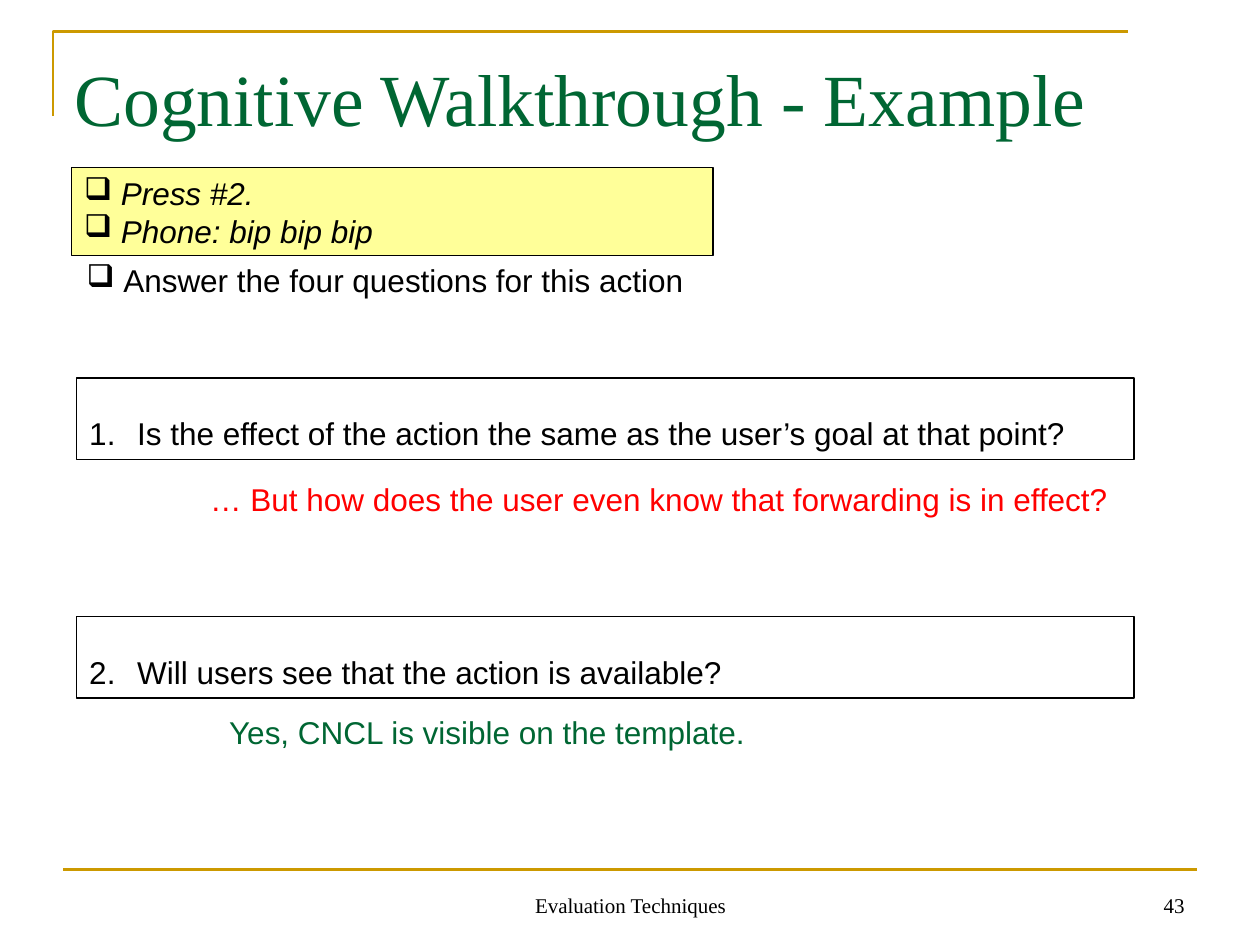
from dataclasses import dataclass

from lxml.etree import SubElement
from pptx import Presentation
from pptx.dml.color import RGBColor
from pptx.enum.shapes import MSO_CONNECTOR, MSO_SHAPE
from pptx.enum.text import MSO_ANCHOR, MSO_AUTO_SIZE, PP_ALIGN
from pptx.oxml.ns import qn
from pptx.util import Emu, Pt

PX = 9144  # 100 px to the inch


@dataclass(frozen=True)
class Theme:
    serif: str = "Times New Roman"
    sans: str = "Arial"
    ink: RGBColor = RGBColor(0x00, 0x00, 0x00)
    green: RGBColor = RGBColor(0x00, 0x66, 0x33)
    red: RGBColor = RGBColor(0xFF, 0x00, 0x00)
    gold: RGBColor = RGBColor(0xCC, 0x99, 0x00)
    yellow: RGBColor = RGBColor(0xFF, 0xFF, 0x99)
    title_size: int = 42
    body_size: int = 18
    footer_size: int = 12
    rule_width: float = 1.5
    frame_width: float = 0.75


theme = Theme()


def px(*lengths):
    return [Emu(length * PX) for length in lengths]


def write(box, *lines, font=theme.sans, size=theme.body_size, color=theme.ink,
          italic=False, align=PP_ALIGN.LEFT, anchor=MSO_ANCHOR.TOP, wrap=True,
          hang=0, bullet=None, spacing=None):
    """Fill a box with one paragraph per line; hang is the hanging indent in px."""
    frame = box.text_frame
    frame.auto_size = MSO_AUTO_SIZE.NONE
    frame.word_wrap = wrap
    frame.vertical_anchor = anchor
    for index, line in enumerate(lines):
        para = frame.add_paragraph() if index else frame.paragraphs[0]
        para.alignment = align
        if spacing:
            para.line_spacing = spacing
        properties = para._p.get_or_add_pPr()
        if hang:
            properties.set("marL", str(hang * PX))
            properties.set("indent", str(-hang * PX))
        if bullet:
            SubElement(properties, qn("a:buChar")).set("char", bullet)
        span = para.add_run()
        span.text = line
        span.font.name = font
        span.font.size = Pt(size)
        span.font.color.rgb = color
        span.font.italic = italic


deck = Presentation()
deck.slide_width, deck.slide_height = px(1000, 750)
page = deck.slides.add_slide(deck.slide_layouts[5])
shapes = page.shapes

# Gold corner and footer rule
builder = shapes.build_freeform(42, 92, scale=PX)
builder.add_line_segments([(42, 25), (895, 25)], close=False)
corner = builder.convert_to_shape()
corner.shadow.inherit = False
corner.fill.background()
footer_rule = shapes.add_connector(MSO_CONNECTOR.STRAIGHT, *px(50, 690, 950, 690))
SubElement(footer_rule._element.spPr, qn("a:effectLst"))
for rule in (corner, footer_rule):
    rule.line.color.rgb = theme.gold
    rule.line.width = Pt(theme.rule_width)

# Title
title = shapes.title
title.left, title.top, title.width, title.height = px(50, 30, 900, 125)
title.text_frame.margin_left, title.text_frame.margin_top = px(9, 12)
write(title, "Cognitive Walkthrough - Example",
      font=theme.serif, size=theme.title_size, color=theme.green)

# Footer
for text, left, width, align in (
    ("Evaluation Techniques", 342, 317, PP_ALIGN.CENTER),
    ("43", 717, 233, PP_ALIGN.RIGHT),
):
    write(shapes.add_textbox(*px(left, 683, width, 50)), text, font=theme.serif,
          size=theme.footer_size, align=align, anchor=MSO_ANCHOR.BOTTOM)

# Framed boxes: the action and the two questions
question_format = dict(hang=38, spacing=1.8)
action_format = dict(hang=29, bullet="❑", italic=True)
for lines, area, fill, text_format in (
    (("Press #2.", "Phone: bip bip bip"), (57, 133, 509, 70),
     theme.yellow, action_format),
    (("1.\tIs the effect of the action the same as the user’s goal at that point?",),
     (61, 300, 839, 65), None, question_format),
    (("2.\tWill users see that the action is available?",),
     (61, 489, 839, 65), None, question_format),
):
    box = shapes.add_shape(MSO_SHAPE.RECTANGLE, *px(*area))
    box.shadow.inherit = False
    box.line.color.rgb = theme.ink
    box.line.width = Pt(theme.frame_width)
    if fill is None:
        box.fill.background()
    else:
        box.fill.solid()
        box.fill.fore_color.rgb = fill
    write(box, *lines, **text_format)

# Task and answers
for text, area, text_format in (
    ("Answer the four questions for this action", (59, 202, 494, 40),
     dict(hang=29, bullet="❑", wrap=False)),
    ("… But how does the user even know that forwarding is in effect?",
     (157, 376, 733, 40), dict(color=theme.red, wrap=False)),
    ("Yes, CNCL is visible on the template.", (172, 561, 545, 40),
     dict(color=theme.green, anchor=MSO_ANCHOR.MIDDLE)),
):
    write(shapes.add_textbox(*px(*area)), text, **text_format)

deck.save("out.pptx")
